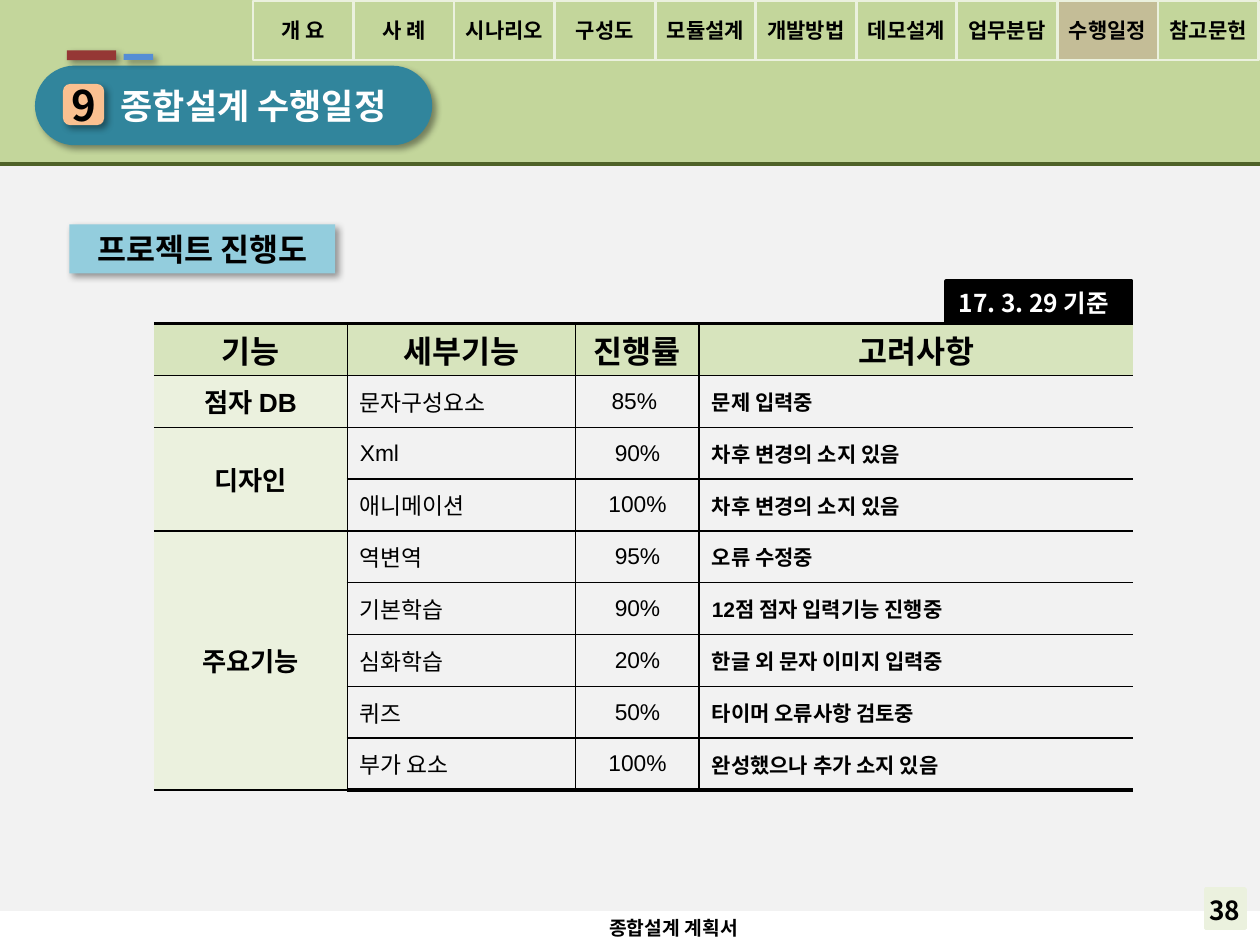
from lxml import etree
from pptx import Presentation
from pptx.dml.color import RGBColor
from pptx.enum import shapes, text
from pptx.oxml import ns
from pptx.util import Pt

COLORS = {
    "black": "000000", "white": "FFFFFF", "body": "F2F2F2", "band": "C3D69B",
    "rule": "4F6228", "pale": "EBF1DE", "header": "D7E4BD", "heading": "93CDDD",
    "active": "C4BD97", "title": "31859C", "number": "FAC090",
    "red": "953735", "blue": "558ED5",
}
KOREAN = "Noto Sans CJK KR"
LATIN = "Arial"
CENTER = text.PP_ALIGN.CENTER
LEFT = text.PP_ALIGN.LEFT
MIDDLE = text.MSO_ANCHOR.MIDDLE
RECT = shapes.MSO_SHAPE.RECTANGLE
ROUND = shapes.MSO_SHAPE.ROUNDED_RECTANGLE

TABS = ["개 요", "사 례", "시나리오", "구성도", "모듈설계", "개발방법",
        "데모설계", "업무분담", "수행일정", "참고문헌"]
ACTIVE_TAB = "수행일정"
HEADERS = ["기능", "세부기능", "진행률", "고려사항"]
GROUPS = [
    ("점자 DB", [("문자구성요소", "85% ", "문제 입력중")]),
    ("디자인", [("Xml", "90%", "차후 변경의 소지 있음"),
             ("애니메이션", "100%", "차후 변경의 소지 있음")]),
    ("주요기능", [("역변역", "95%", "오류 수정중"),
              ("기본학습", "90%", "12점 점자 입력기능 진행중"),
              ("심화학습", "20%", "한글 외 문자 이미지 입력중"),
              ("퀴즈", "50%", "타이머 오류사항 검토중"),
              ("부가 요소", "100%", "완성했으나 추가 소지 있음")]),
]


def rgb(name):
    return RGBColor.from_string(COLORS[name])


def write(frame, words, size=12, font=KOREAN, color="black", bold=True,
          align=CENTER):
    paragraph = frame.paragraphs[0]
    paragraph.alignment = align
    run = paragraph.add_run()
    run.text = words
    run.font.size = Pt(size)
    run.font.name = font
    run.font.bold = bold
    run.font.color.rgb = rgb(color)
    east_asian = etree.SubElement(run._r.get_or_add_rPr(), ns.qn("a:ea"))
    east_asian.set("typeface", KOREAN)


class SlideBuilder:
    def __init__(self, slide):
        self.slide = slide

    def box(self, left, top, width, height, fill=None, line=None,
            line_width=2, kind=RECT, corner=None, shadow=False):
        shape = self.slide.shapes.add_shape(
            kind, Pt(left), Pt(top), Pt(width), Pt(height))
        shape.shadow.inherit = False
        if corner is not None:
            shape.adjustments[0] = corner
        if fill:
            shape.fill.solid()
            shape.fill.fore_color.rgb = rgb(fill)
        else:
            shape.fill.background()
        if line:
            shape.line.color.rgb = rgb(line)
            shape.line.width = Pt(line_width)
        else:
            shape.line.fill.background()
        if shadow:
            self.cast_shadow(shape)
        shape.text_frame.vertical_anchor = MIDDLE
        return shape

    def cast_shadow(self, shape):
        effects = shape._element.spPr.find(ns.qn("a:effectLst"))
        outer = etree.SubElement(
            effects, ns.qn("a:outerShdw"), blurRad=str(Pt(4)),
            dist=str(Pt(3)), dir="2700000", algn="tl", rotWithShape="0")
        color = etree.SubElement(outer, ns.qn("a:srgbClr"), val=COLORS["black"])
        etree.SubElement(color, ns.qn("a:alpha"), val="40000")

    def label(self, left, top, width, height, words, **style):
        shape = self.slide.shapes.add_textbox(
            Pt(left), Pt(top), Pt(width), Pt(height))
        shape.text_frame.word_wrap = False
        write(shape.text_frame, words, align=LEFT, **style)

    def rule(self, left, top, right, color, width):
        connector = self.slide.shapes.add_connector(
            shapes.MSO_CONNECTOR.STRAIGHT, Pt(left), Pt(top), Pt(right), Pt(top))
        connector.line.color.rgb = rgb(color)
        connector.line.width = Pt(width)
        etree.SubElement(connector._element.spPr, ns.qn("a:effectLst"))

    def tabs(self, left, top, step, height):
        for index, name in enumerate(TABS):
            tab = self.box(left + index * step, top, step, height,
                           fill="active" if name == ACTIVE_TAB else None,
                           line="pale", line_width=1.5)
            tab.text_frame.word_wrap = False
            write(tab.text_frame, name)

    def borders(self, cell, widths):
        properties = cell._tc.get_or_add_tcPr()
        for index, (side, width) in enumerate(zip("LRTB", widths)):
            line = etree.Element(ns.qn(f"a:ln{side}"), w=str(Pt(width)))
            fill = "a:solidFill" if width else "a:noFill"
            paint = etree.SubElement(line, ns.qn(fill))
            if width:
                etree.SubElement(paint, ns.qn("a:srgbClr"), val=COLORS["black"])
            properties.insert(index, line)

    def cell(self, cell, words, fill=None, **style):
        cell.vertical_anchor = MIDDLE
        cell.margin_top = cell.margin_bottom = Pt(1.5)
        if fill:
            cell.fill.solid()
            cell.fill.fore_color.rgb = rgb(fill)
        else:
            cell.fill.background()
        if words:
            write(cell.text_frame, words, font=LATIN, **style)

    def progress_table(self, left, top, widths, row_height):
        rows = 1 + sum(len(details) for _, details in GROUPS)
        columns = len(widths)
        table = self.slide.shapes.add_table(
            rows, columns, Pt(left), Pt(top), Pt(sum(widths)),
            Pt(rows * row_height)).table
        table.horz_banding = False
        for column, width in zip(table.columns, widths):
            column.width = Pt(width)
        for row in table.rows:
            row.height = Pt(row_height)
        for column, words in enumerate(HEADERS):
            self.cell(table.cell(0, column), words, fill="header", size=18)
        row = 1
        for group, details in GROUPS:
            first = row
            for detail, progress, note in details:
                self.cell(table.cell(row, 0), group if row == first else "",
                          fill="pale", size=15)
                self.cell(table.cell(row, 1), detail, size=13, bold=False, align=LEFT)
                self.cell(table.cell(row, 2), progress, size=13, bold=False)
                self.cell(table.cell(row, 3), note, align=LEFT)
                row += 1
            if len(details) > 1:
                table.cell(first, 0).merge(table.cell(row - 1, 0))
        for row in range(rows):
            for column in range(columns):
                self.borders(table.cell(row, column), (
                    1 if column else 0, 1 if column < columns - 1 else 0,
                    1 if row else 2.25, 1 if row < rows - 1 else 2.25))


def main():
    presentation = Presentation()
    presentation.slide_width = Pt(720)
    presentation.slide_height = Pt(540)
    builder = SlideBuilder(
        presentation.slides.add_slide(presentation.slide_layouts[6]))

    builder.box(0, 95, 720, 425.5, fill="body")
    builder.box(689, 508, 22.5, 22.5, fill="pale", line="pale")
    builder.label(684, 507.5, 32.5, 25.5, "38", size=15)
    builder.box(0, 0, 720, 94, fill="band")
    builder.rule(0, 93.6, 720, "rule", 2.25)
    builder.label(341, 520, 96.5, 20.5, "종합설계 계획서", size=11, font=LATIN)

    heading = builder.box(39.6, 128.2, 152, 28, fill="heading", shadow=True)
    write(heading.text_frame, "프로젝트 진행도", size=18)
    date = builder.box(540.7, 160.6, 106, 24.5, fill="black", line="black")
    date.text_frame.word_wrap = False
    write(date.text_frame, "17. 3. 29 기준", size=14, color="white", align=LEFT)

    builder.tabs(144.6, 0.6, 57.45, 33.8)

    title = builder.box(20, 37.5, 227, 45.5, fill="title", kind=ROUND,
                        corner=0.5, shadow=True)
    title.text_frame.margin_left = Pt(30)
    write(title.text_frame, "종합설계 수행일정", size=20, color="white")
    number = builder.box(36, 48, 23.5, 23.5, fill="number", kind=ROUND,
                         corner=0.17, shadow=True)
    number.text_frame.word_wrap = False
    write(number.text_frame, "9", size=24)
    builder.box(38.2, 28.8, 28.2, 5.6, fill="red", shadow=True)
    builder.box(70.6, 30.8, 17, 3.5, fill="blue", shadow=True)

    builder.progress_table(88, 185, (110.5, 130.5, 70.6, 248), 29.6)
    presentation.save("out.pptx")


if __name__ == "__main__":
    main()
